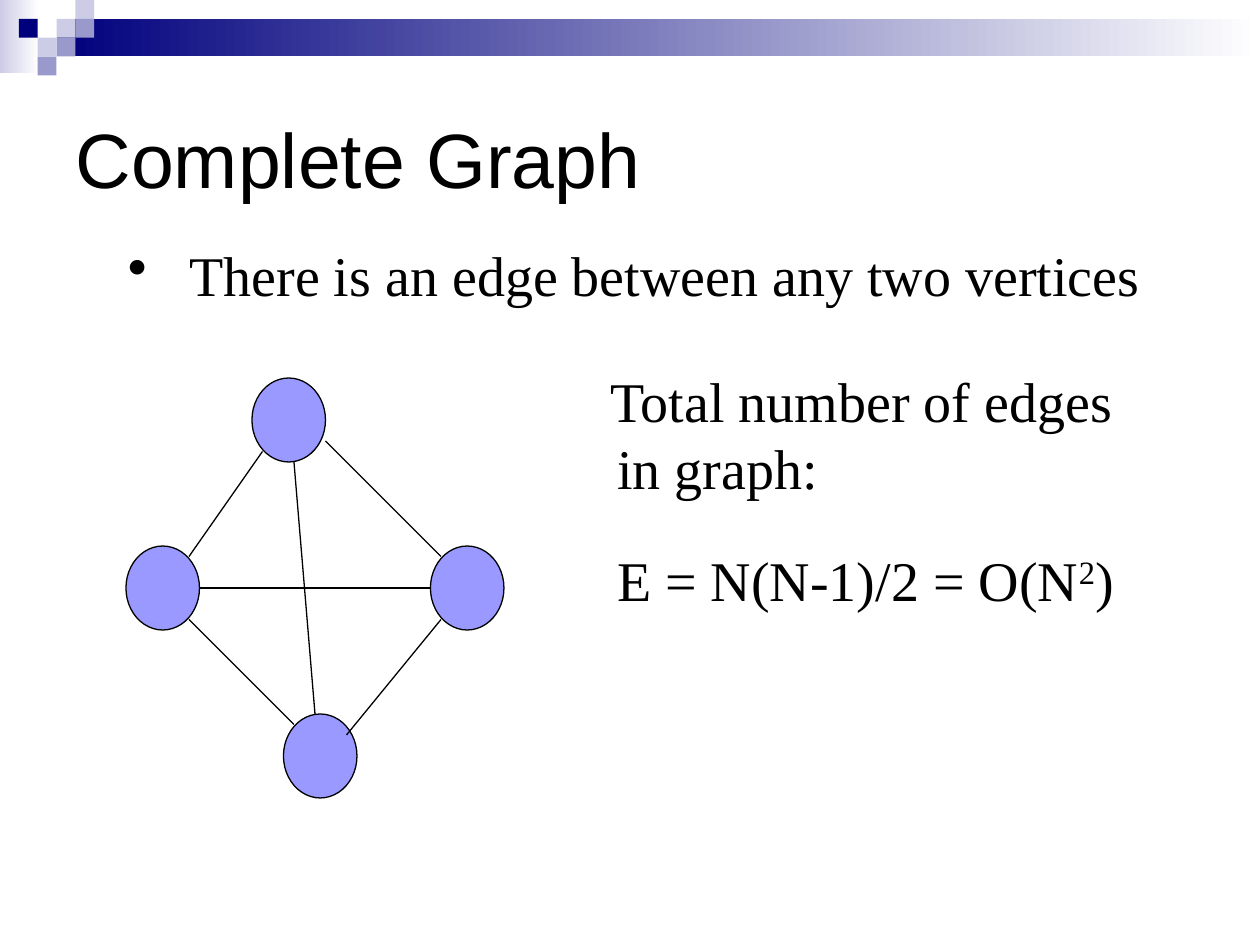
import pptx
import pptx.dml.color
import pptx.enum.shapes
import pptx.enum.text
import pptx.oxml
import pptx.oxml.ns
import pptx.util
from pptx.util import Cm

COLORS = {
    "text": "000000",
    "paper": "FFFFFF",
    "navy": "00007D",
    "mid": "9999CC",
    "pale": "CCCCE6",
    "vertex": "9999FF",
}
GRID = 2.54 / 12   # graph grid step, cm
TILE = 0.38        # side of a header tile, cm
SHAPES = pptx.enum.shapes.MSO_SHAPE


def rgb(name):
    return pptx.dml.color.RGBColor.from_string(COLORS[name])


class SlideBuilder:
    title_font, body_font = "Arial", "Times New Roman"
    title_size, body_size = 44, 32
    line_width = 0.75

    def __init__(self, slide):
        self.slide = slide

    def style_text(self, paragraph, font, size):
        for run in paragraph.runs:
            run.font.name = font
            run.font.size = pptx.util.Pt(size)
            run.font.color.rgb = rgb("text")

    def title(self, text, left, top, width, height):
        title = self.slide.shapes.title
        title.left, title.top = Cm(left), Cm(top)
        title.width, title.height = Cm(width), Cm(height)
        title.text_frame.text = text
        title.text_frame.vertical_anchor = pptx.enum.text.MSO_ANCHOR.MIDDLE
        paragraph = title.text_frame.paragraphs[0]
        paragraph.alignment = pptx.enum.text.PP_ALIGN.LEFT
        self.style_text(paragraph, self.title_font, self.title_size)

    def shape(self, kind, left, top, width, height, color, fade=False, outline=False):
        shape = self.slide.shapes.add_shape(
            kind, Cm(left), Cm(top), Cm(width), Cm(height))
        shape.shadow.inherit = False
        if fade:
            shape.fill.gradient()
            shape.fill.gradient_angle = 0
            for stop, name in zip(shape.fill.gradient_stops, (color, "paper")):
                stop.color.rgb = rgb(name)
        else:
            shape.fill.solid()
            shape.fill.fore_color.rgb = rgb(color)
        if outline:
            shape.line.color.rgb = rgb("text")
            shape.line.width = pptx.util.Pt(self.line_width)
        else:
            shape.line.fill.background()

    def edge(self, x1, y1, x2, y2):
        edge = self.slide.shapes.add_connector(
            pptx.enum.shapes.MSO_CONNECTOR.STRAIGHT, Cm(x1), Cm(y1), Cm(x2), Cm(y2))
        edge.line.color.rgb = rgb("text")
        edge.line.width = pptx.util.Pt(self.line_width)
        edge._element.spPr.append(pptx.oxml.parse_xml(
            "<a:effectLst %s/>" % pptx.oxml.ns.nsdecls("a")))

    def text_box(self, left, top, width, height):
        frame = self.slide.shapes.add_textbox(
            Cm(left), Cm(top), Cm(width), Cm(height)).text_frame
        frame.word_wrap = True
        return frame

    def body(self, paragraph, parts, margin, indent, bullet=None):
        """Fill a paragraph from (text, baseline percent) parts."""
        properties = paragraph._p.get_or_add_pPr()
        properties.set("marL", str(Cm(margin)))
        properties.set("indent", str(Cm(indent)))
        if bullet:
            properties.append(pptx.oxml.parse_xml(
                '<a:buChar %s char="%s"/>' % (pptx.oxml.ns.nsdecls("a"), bullet)))
        paragraph.line_spacing = pptx.util.Pt(38.3)
        for text, baseline in parts:
            run = paragraph.add_run()
            run.text = text
            if baseline:
                run._r.get_or_add_rPr().set("baseline", str(baseline * 1000))
        self.style_text(paragraph, self.body_font, self.body_size)


def main():
    deck = pptx.Presentation()
    deck.slide_width, deck.slide_height = Cm(25.4), Cm(19.05)
    page = SlideBuilder(deck.slides.add_slide(deck.slide_layouts[5]))

    # Header band and tiles
    page.shape(SHAPES.RECTANGLE, 0, 0, 0.79, 1.47, "pale", fade=True)
    page.shape(SHAPES.RECTANGLE, 3 * TILE, TILE, 25.4 - 3 * TILE, 2 * TILE,
               "navy", fade=True)
    tiles = [(3, 1, "pale"), (4, 0, "pale"), (4, 1, "mid"), (2, 2, "pale"),
             (1, 1, "navy"), (3, 2, "mid"), (2, 3, "mid")]
    for column, row, color in tiles:
        page.shape(SHAPES.RECTANGLE, column * TILE, row * TILE, TILE, TILE, color)

    # Title
    page.title("Complete Graph", 1.27, 1.27, 22.86, 3.81)

    # Edge count
    count = page.text_box(11.22, 7.27, 12.5, 6.35)
    page.body(count.paragraphs[0], [("Total number of edges in graph:", 0)], 0.97, -0.13)
    formula = count.add_paragraph()
    page.body(formula, [("E = N(N-1)/2 = O(N", 0), ("2", 30), (")", 0)], 0.97, 0)
    formula.space_before = pptx.util.Pt(25.7)

    # Graph vertices and edges, in grid steps
    for column, row in [(24, 36), (12, 52), (41, 52), (27, 68)]:
        page.shape(SHAPES.OVAL, column * GRID, row * GRID, 7 * GRID, 8 * GRID,
                   "vertex", outline=True)
    edges = [(18, 53, 25, 43), (28, 44, 30, 68), (18, 59, 28, 69),
             (19, 56, 41, 56), (31, 42, 42, 53), (33, 70, 42, 59)]
    for ends in edges:
        page.edge(*(step * GRID for step in ends))

    # Definition
    definition = page.text_box(2.33, 4.73, 22.22, 2.12)
    page.body(definition.paragraphs[0],
              [("There is an edge between any two vertices", 0)], 1.24, -1.24, "•")

    deck.save("out.pptx")


if __name__ == "__main__":
    main()
